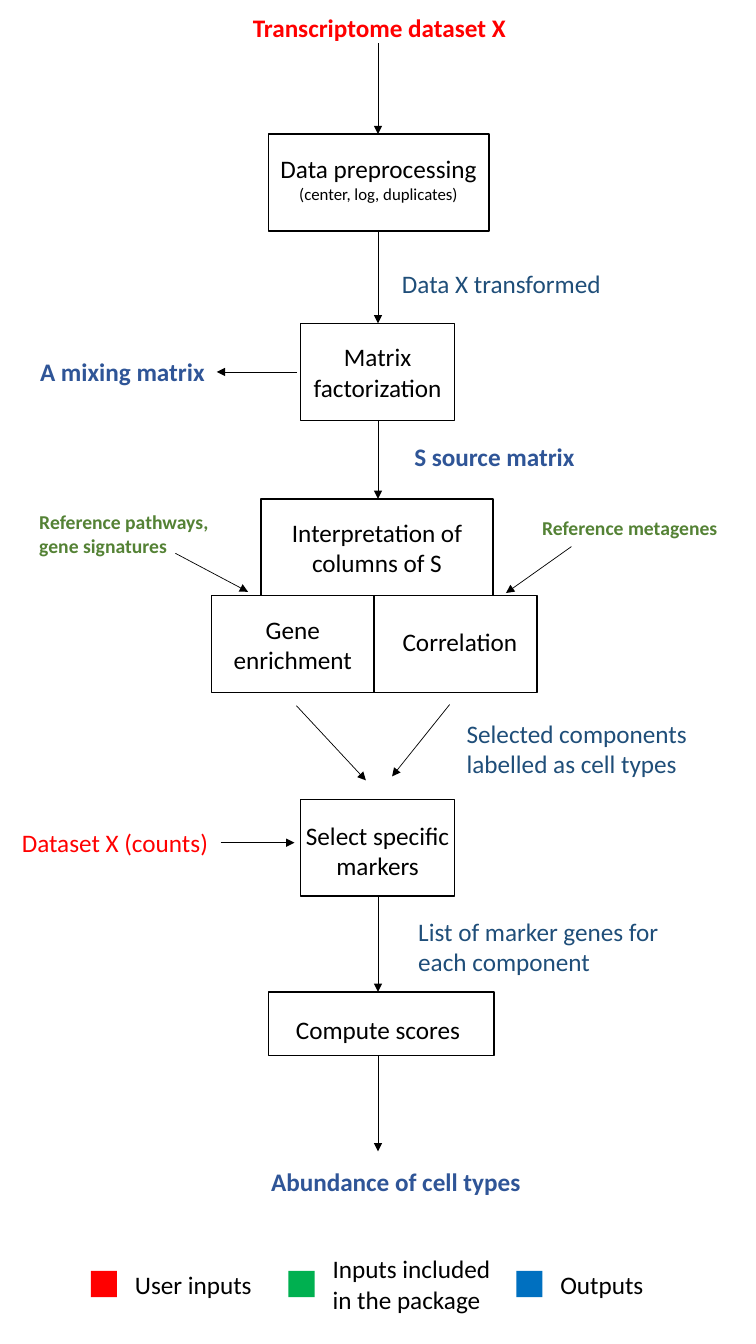
from dataclasses import dataclass
from typing import Any

from lxml.etree import SubElement
from pptx import Presentation
from pptx.dml.color import RGBColor
from pptx.enum.shapes import MSO_CONNECTOR, MSO_SHAPE
from pptx.enum.text import MSO_ANCHOR, PP_ALIGN
from pptx.oxml.ns import qn
from pptx.util import Cm, Pt

BLACK = RGBColor(0, 0, 0)
RED = RGBColor(0xFF, 0, 0)
STEEL = RGBColor(0x1F, 0x4E, 0x79)
BLUE = RGBColor(0x2F, 0x55, 0x97)
GREEN = RGBColor(0x54, 0x82, 0x35)
KEY_GREEN = RGBColor(0, 0xB0, 0x50)
KEY_BLUE = RGBColor(0, 0x70, 0xC0)
FONT = "Calibri"
WIDE, TALL = 19.05, 33.86
STEP = 2.44


def write(frame, lines, color, bold=False, align=PP_ALIGN.LEFT):
    for i, (text, size) in enumerate(lines):
        para = frame.paragraphs[0] if i == 0 else frame.add_paragraph()
        para.alignment = align
        run = para.add_run()
        run.text = text
        run.font.name = FONT
        run.font.size = Pt(size)
        run.font.bold = bold
        run.font.color.rgb = color


@dataclass
class Area:
    shapes: Any
    left: float
    top: float
    width: float
    height: float

    @property
    def mid(self):
        return self.width / 2

    def place(self, x, y):
        return Cm(self.left + x), Cm(self.top + y)

    def box(self, x, y, w, h, *lines, shift=(0, 0)):
        shape = self.shapes.add_shape(
            MSO_SHAPE.RECTANGLE, *self.place(x, y), Cm(w), Cm(h))
        shape.shadow.inherit = False
        shape.fill.background()
        shape.line.color.rgb = BLACK
        shape.line.width = Pt(1)
        frame = shape.text_frame
        frame.word_wrap = True
        frame.vertical_anchor = MSO_ANCHOR.MIDDLE
        across, down = shift
        frame.margin_left = Cm(max(0, 2 * across))
        frame.margin_right = Cm(max(0, -2 * across))
        frame.margin_top = Cm(max(0, 2 * down))
        frame.margin_bottom = Cm(max(0, -2 * down))
        write(frame, lines, BLACK, align=PP_ALIGN.CENTER)

    def note(self, x, y, w, h, color, *texts, size=18, bold=False, wrap=False):
        label = self.shapes.add_textbox(*self.place(x, y), Cm(w), Cm(h))
        frame = label.text_frame
        frame.word_wrap = wrap
        write(frame, [(text, size) for text in texts], color, bold)
        return frame

    def arrow(self, x1, y1, x2, y2):
        line = self.shapes.add_connector(
            MSO_CONNECTOR.STRAIGHT, *self.place(x1, y1), *self.place(x2, y2))
        line.line.color.rgb = BLACK
        line.line.width = Pt(0.5)
        SubElement(line.line._get_or_add_ln(), qn("a:tailEnd"), type="triangle")
        SubElement(line._element.spPr, qn("a:effectLst"))

    def swatch(self, x, y, side, color):
        shape = self.shapes.add_shape(
            MSO_SHAPE.RECTANGLE, *self.place(x, y), Cm(side), Cm(side))
        shape.shadow.inherit = False
        shape.fill.solid()
        shape.fill.fore_color.rgb = color
        shape.line.fill.background()


def prepare(area):
    area.note(6.12, 0.18, 6.93, 1.02, RED, "Transcriptome dataset X", bold=True)
    area.arrow(area.mid, 1.09, area.mid, 3.38)
    area.box(6.76, 3.38, 5.56, STEP, ("Data preprocessing", 18),
             ("(center, log, duplicates)", 12), shift=(0, -0.11))
    area.arrow(area.mid, 3.38 + STEP, area.mid, area.height)
    area.note(9.88, 6.63, 5.59, 1.02, STEEL, "Data X transformed")


def factor(area):
    area.box(7.57, 0, 3.89, STEP, ("Matrix factorization", 18))
    area.arrow(7.49, STEP / 2, 5.46, STEP / 2)
    area.note(0.76, 0.71, 4.7, 1.02, BLUE, "A mixing matrix", bold=True)
    area.arrow(area.mid, STEP, area.mid, area.height)
    area.note(10.19, 2.85, 4.6, 1.02, BLUE, "S source matrix", bold=True)


def explain(area):
    area.box(6.58, 0, 5.84, STEP, ("Interpretation of columns of S", 18))
    half = 4.1
    area.box(5.33, STEP, half, STEP, ("Gene", 18), ("enrichment", 18))
    area.box(5.33 + half, STEP, half, STEP, ("Correlation", 18),
             shift=(0.11, -0.08))
    area.note(0.74, 0.16, 4.9, 1.45, GREEN, "Reference pathways,",
              "gene signatures", size=14, bold=True)
    area.note(13.41, 0.31, 4.95, 0.86, GREEN, "Reference metagenes",
              size=14, bold=True)
    area.note(11.51, 5.39, 6.2, 1.8, STEEL, "Selected components",
              "labelled as cell types")
    for ends in ((14.4, 1.2, 12.75, 2.37), (4.42, 1.37, 6.25, 2.34),
                 (11.33, 5.18, 9.88, 6.99), (7.47, 5.21, 9.22, 7.09)):
        area.arrow(*ends)


def select(area):
    area.box(7.57, 0, 3.89, STEP, ("Select specific markers", 18),
             shift=(0, 0.06))
    area.note(0.3, 0.59, 5.26, 1.02, RED, "Dataset X (counts)")
    area.arrow(5.56, 1.09, 7.42, 1.09)
    area.arrow(area.mid, STEP, area.mid, area.height)
    area.note(10.29, 2.82, 6.78, 1.8, STEEL,
              "List of marker genes for each component", wrap=True)


def score(area):
    area.box(6.76, 0, 5.69, 1.6, ("Compute scores", 18), shift=(-0.08, 0.14))
    area.arrow(area.mid, 1.6, area.mid, 4.02)
    area.note(6.58, 4.27, 6.86, 1.02, BLUE, "Abundance of cell types", bold=True)


def legend(area):
    side = 0.66
    for x, w, color, text, wrap in (
            (0, 3.48, RED, "User inputs", False),
            (4.98, 4.67, KEY_GREEN, "Inputs included in the package", True),
            (10.72, 2.62, KEY_BLUE, "Outputs", False)):
        area.swatch(x, (area.height - side) / 2, side, color)
        frame = area.note(x + 0.86, 0, w, area.height, BLACK, text, wrap=wrap)
        frame.vertical_anchor = MSO_ANCHOR.MIDDLE


deck = Presentation()
deck.slide_width, deck.slide_height = Cm(WIDE), Cm(TALL)
slide = deck.slides.add_slide(deck.slide_layouts[6])
top = 0
for draw, height in ((prepare, 8.15), (factor, 4.42), (explain, 7.57),
                     (select, 4.85), (score, 5.3)):
    draw(Area(slide.shapes, 0, top, WIDE, height))
    top += height
legend(Area(slide.shapes.add_group_shape().shapes, 2.29, 31.45, 14.2, 1.8))
deck.save("out.pptx")
